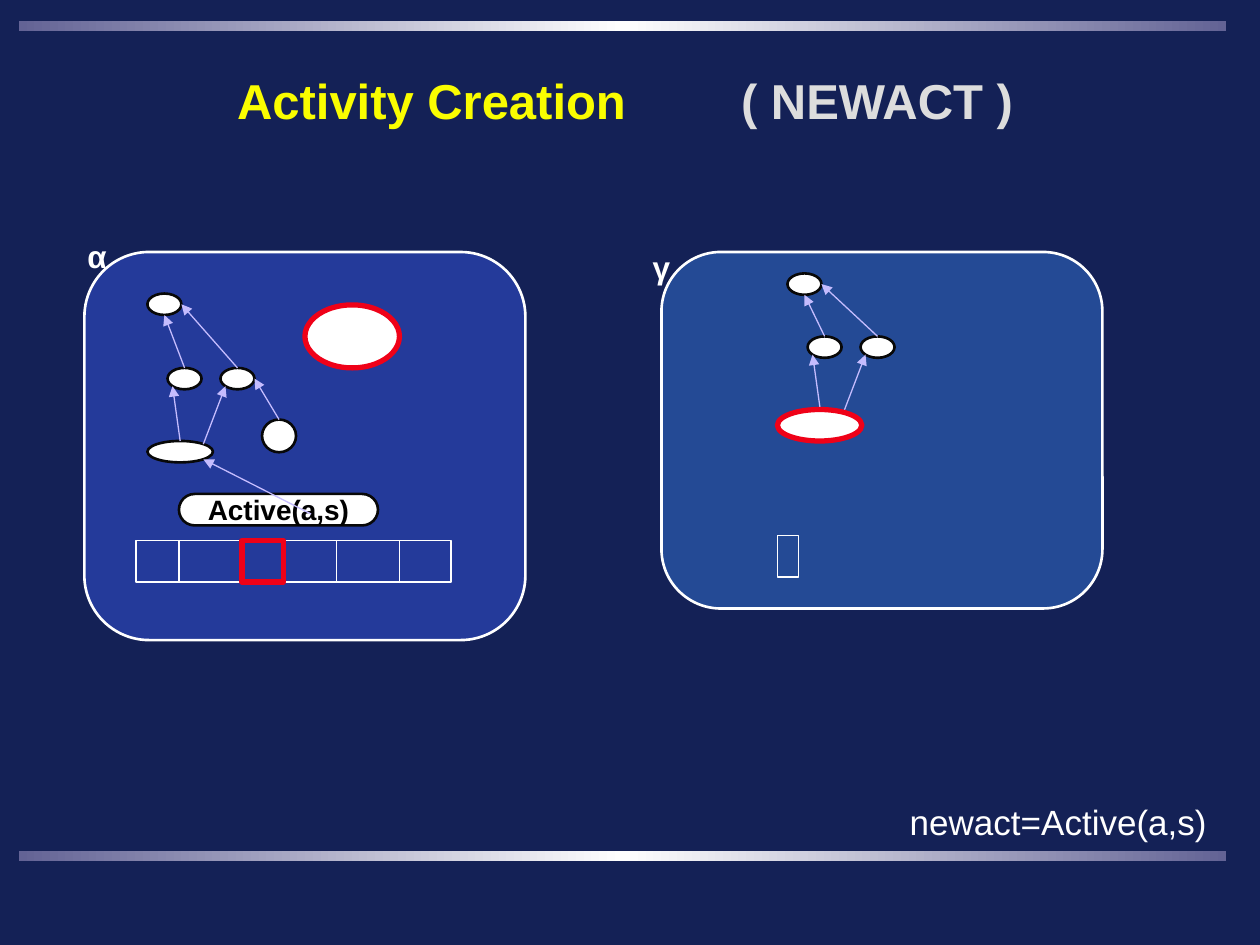
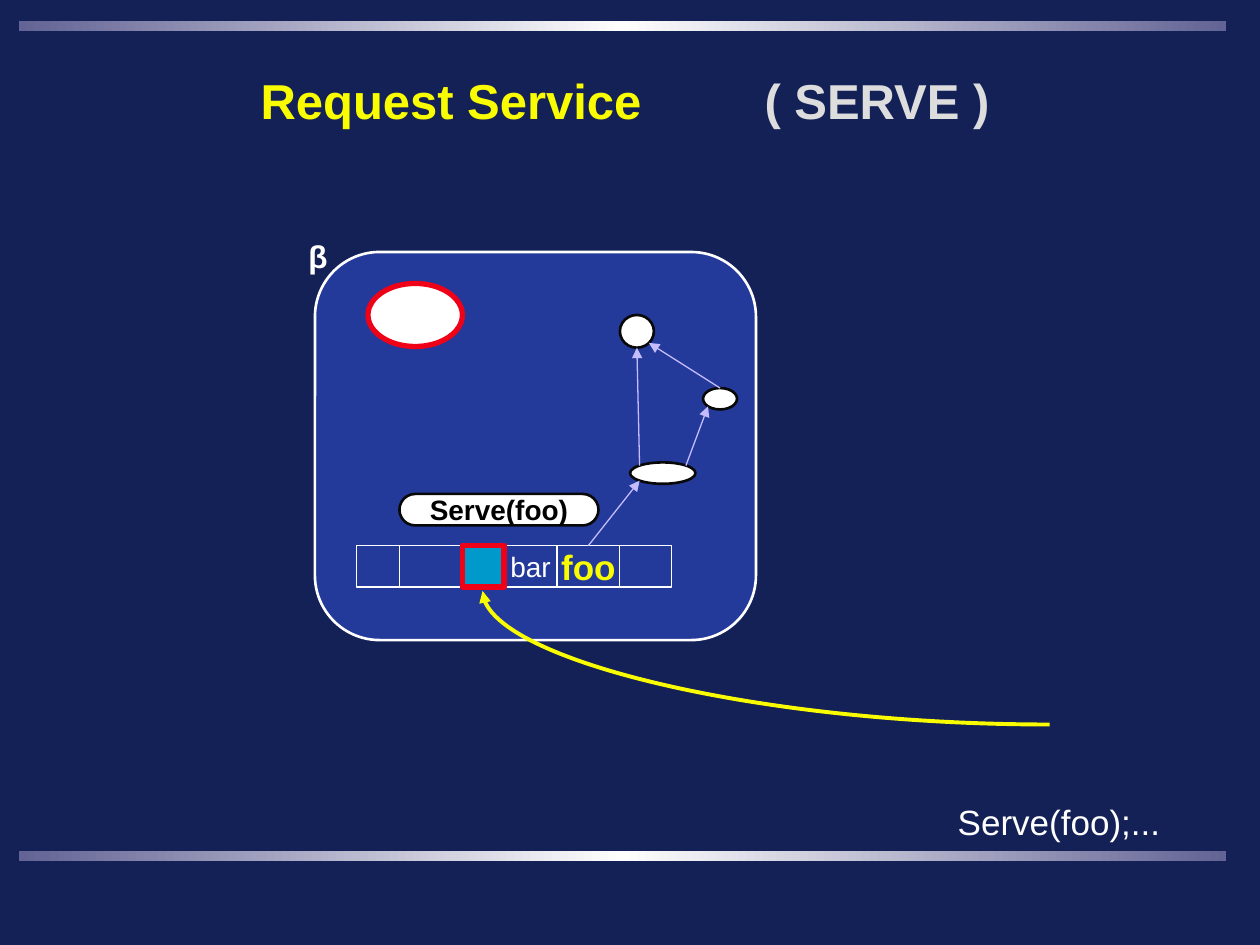
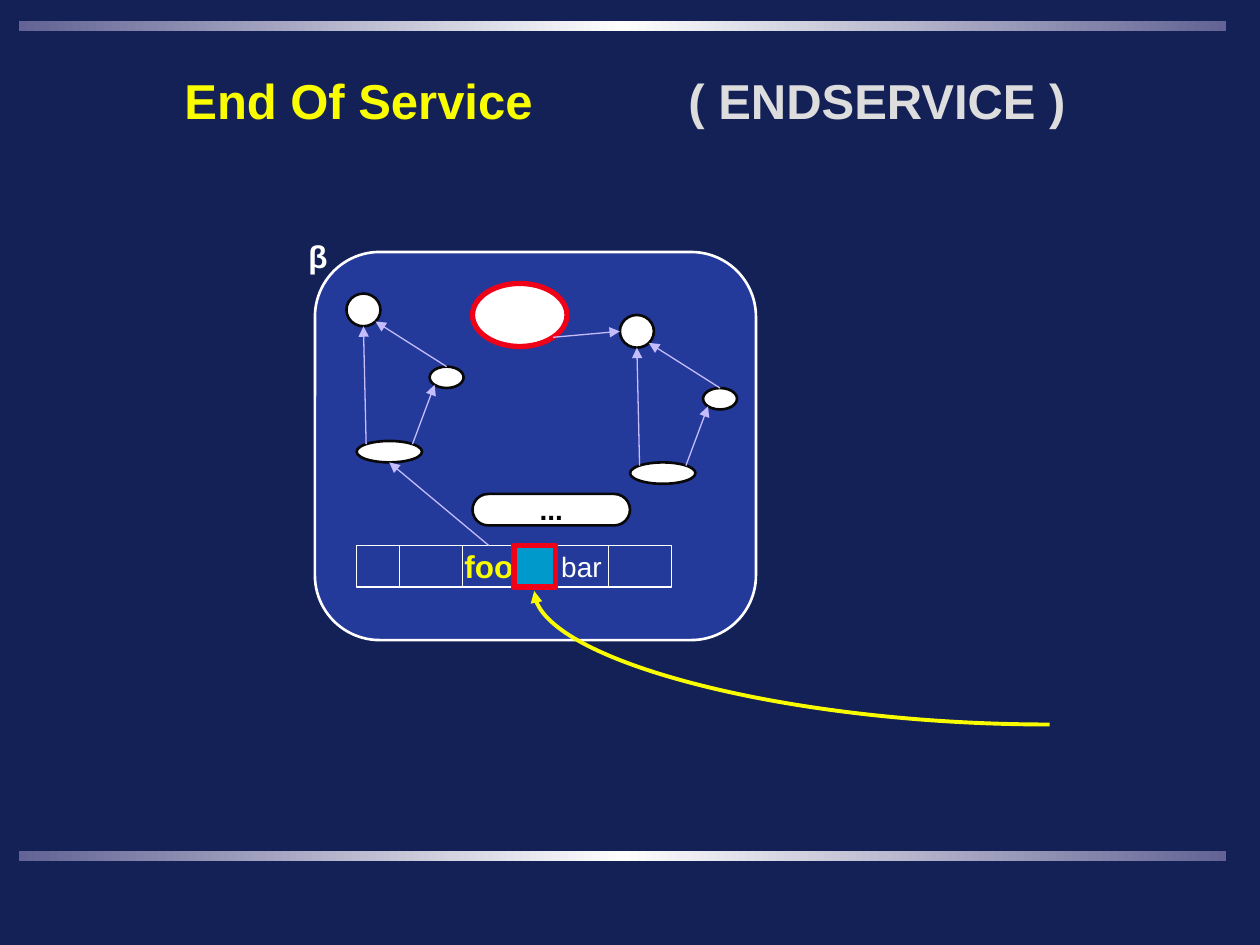
from copy import deepcopy
from dataclasses import dataclass
from math import cos, radians, sin

from lxml.etree import SubElement
from pptx import Presentation
from pptx.dml.color import RGBColor
from pptx.enum.shapes import MSO_CONNECTOR, MSO_SHAPE
from pptx.enum.text import MSO_ANCHOR, MSO_AUTO_SIZE, PP_ALIGN
from pptx.oxml.ns import qn
from pptx.util import Inches, Pt


@dataclass(frozen=True)
class Theme:
    font: str = "Arial"
    background: str = "142156"
    band_edge: str = "636395"
    band_center: str = "FEFEFE"
    activity: str = "243A9A"
    new_activity: str = "244A95"
    future: str = "0099CC"
    white: str = "FFFFFF"
    black: str = "000000"
    outline: str = "080808"
    active: str = "EF0118"
    reference: str = "C5BCFE"
    accent: str = "FAFD00"
    rule_name: str = "DDDDDD"
    title_size: float = 28
    code_size: float = 20
    label_size: float = 18
    cell_size: float = 16
    thin: float = 0.75
    medium: float = 1.5
    curve: float = 2.25
    thick: float = 3


THEME = Theme()
TITLE_BOX = (0.44, 0.33, 9.04, 0.92)
TAB_COUNT = 8
BAND_TOPS = (0.17, 6.75)

SMALL = (0.27, 0.17)
ROUND = (0.27, 0.26)
WIDE = (0.52, 0.17)
ACTIVE_OBJECT = (0.75, 0.5)
NEW_ACTIVE_OBJECT = (0.67, 0.25)
SITE_NAMES = ("right", "bottom_right", "bottom", "bottom_left",
              "left", "top_left", "top", "top_right")
SITE_ANGLES = {name: 45 * step for step, name in enumerate(SITE_NAMES)}

ACTIVITY_TOP = 2
ACTIVITY_WIDTH = 3.5
ACTIVITY_HEIGHT = 3.08
NEW_ACTIVITY_HEIGHT = 2.83
QUEUE_WIDTH = 2.5
CELL_HEIGHT = 0.33
CREATION_QUEUE_TOP = 4.29
SERVICE_QUEUE_TOP = 4.33
CURRENT_CELL_WIDTH = 0.33
INSTRUCTION_TOP = 3.92
INSTRUCTION_HEIGHT = 0.25
CODE_TOP = 6.3
CODE_HEIGHT = 0.44
UPDATE_SOURCE = (8.33, 5.75)
UPDATE_TARGET_TOP = 4.69


def color(value):
    return RGBColor.from_string(value)


def inches(*values):
    return [Inches(value) for value in values]


def format_run(run, size, text_color, bold=False):
    run.font.name = THEME.font
    run.font.size = Pt(size)
    run.font.bold = bold
    run.font.color.rgb = color(text_color)


def set_text(shape, text, size, text_color, bold=False):
    frame = shape.text_frame
    frame.text = text
    frame.word_wrap = False
    frame.vertical_anchor = MSO_ANCHOR.MIDDLE
    paragraph = frame.paragraphs[0]
    paragraph.alignment = PP_ALIGN.CENTER
    format_run(paragraph.runs[0], size, text_color, bold)


def add_box(slide, kind, box, fill, line, width):
    shape = slide.shapes.add_shape(kind, *inches(*box))
    shape.shadow.inherit = False
    shape.fill.solid()
    shape.fill.fore_color.rgb = color(fill)
    shape.line.color.rgb = color(line)
    shape.line.width = Pt(width)
    return shape


def add_label(slide, box, text, size, bold=False):
    label = slide.shapes.add_textbox(*inches(*box))
    set_text(label, text, size, THEME.white, bold)
    label.text_frame.auto_size = MSO_AUTO_SIZE.SHAPE_TO_FIT_TEXT


def add_line(slide, kind, start, end, line_color, width, arrow=False):
    connector = slide.shapes.add_connector(kind, *start, *end)
    connector.line.color.rgb = color(line_color)
    connector.line.width = Pt(width)
    properties = connector.element.spPr
    if arrow:
        SubElement(properties.find(qn("a:ln")), qn("a:tailEnd"), type="triangle")
    SubElement(properties, qn("a:effectLst"))
    return connector


def site(ellipse, name):
    angle = radians(SITE_ANGLES[name])
    return (
        int(ellipse.left + ellipse.width / 2 * (1 + cos(angle))),
        int(ellipse.top + ellipse.height / 2 * (1 + sin(angle))),
    )


def add_reference(slide, start, end):
    return add_line(slide, MSO_CONNECTOR.STRAIGHT, start, end,
                    THEME.reference, THEME.thin, arrow=True)


def link(slide, source, source_site, target, target_site):
    add_reference(slide, site(source, source_site), site(target, target_site))


def link_cell(slide, cell, target, target_site):
    cell_top = (cell.left + cell.width // 2, cell.top)
    reference = add_reference(slide, cell_top, site(target, target_site))
    reference.begin_connect(cell, 0)


def add_object(slide, left, top, size):
    return add_box(slide, MSO_SHAPE.OVAL, (left, top, *size),
                   THEME.white, THEME.outline, THEME.medium)


def add_active_object(slide, left, top, size=ACTIVE_OBJECT):
    return add_box(slide, MSO_SHAPE.OVAL, (left, top, *size),
                   THEME.white, THEME.active, THEME.thick)


def add_activity(slide, left, height, fill, name, name_box):
    add_box(slide, MSO_SHAPE.ROUNDED_RECTANGLE,
            (left, ACTIVITY_TOP, ACTIVITY_WIDTH, height),
            fill, THEME.white, THEME.medium)
    add_label(slide, name_box, name, THEME.label_size, bold=True)


def add_cell(slide, left, top, width, fill=THEME.activity):
    return add_box(slide, MSO_SHAPE.RECTANGLE, (left, top, width, CELL_HEIGHT),
                   fill, THEME.white, THEME.thin)


def add_current_cell(slide, left, top, fill):
    add_box(slide, MSO_SHAPE.RECTANGLE,
            (left, top, CURRENT_CELL_WIDTH, CELL_HEIGHT),
            fill, THEME.active, THEME.thick)


def add_queue(slide, left, top, dividers):
    add_cell(slide, left, top, QUEUE_WIDTH)
    for divider in dividers:
        add_line(slide, MSO_CONNECTOR.STRAIGHT, inches(divider, top),
                 inches(divider, top + CELL_HEIGHT), THEME.white, THEME.thin)


def add_waiting_request(slide, left, width):
    cell = add_cell(slide, left, SERVICE_QUEUE_TOP, width)
    set_text(cell, "bar", THEME.cell_size, THEME.white)


def add_served_request(slide, left, width, size):
    cell = add_cell(slide, left, SERVICE_QUEUE_TOP, width)
    set_text(cell, "foo", size, THEME.accent, bold=True)
    return cell


def add_instruction(slide, left, width, text):
    pill = add_box(slide, MSO_SHAPE.ROUNDED_RECTANGLE,
                   (left, INSTRUCTION_TOP, width, INSTRUCTION_HEIGHT),
                   THEME.white, THEME.outline, THEME.medium)
    pill.adjustments[0] = 0.5
    set_text(pill, text, THEME.cell_size, THEME.black, bold=True)


def add_code(slide, left, width, text):
    add_label(slide, (left, CODE_TOP, width, CODE_HEIGHT), text, THEME.code_size)


def add_future_update(slide, target_left):
    curve = add_line(slide, MSO_CONNECTOR.CURVE,
                     inches(target_left, UPDATE_TARGET_TOP),
                     inches(*UPDATE_SOURCE),
                     THEME.accent, THEME.curve, arrow=True)
    properties = curve.element.spPr
    properties.find(qn("a:xfrm")).set("rot", "10800000")
    properties.find(qn("a:prstGeom")).set("prst", "curvedConnector2")


def add_copied_graph(slide, left, top, rise):
    root = add_object(slide, left, top, WIDE)
    first = add_object(slide, left + 0.16, top - 0.58, SMALL)
    second = add_object(slide, left + 0.58, top - 0.58, SMALL)
    summit = add_object(slide, left, top - rise, SMALL)
    for reference in (
        (root, "top", first, "bottom_left"),
        (root, "top_right", second, "bottom_left"),
        (first, "top", summit, "bottom"),
        (second, "top", summit, "right"),
    ):
        link(slide, *reference)
    return root, second


def add_request_graph(slide, left, top):
    summit = add_object(slide, left, top, ROUND)
    middle = add_object(slide, left + 0.66, top + 0.58, SMALL)
    root = add_object(slide, left + 0.08, top + 1.17, WIDE)
    for reference in (
        (middle, "top", summit, "bottom_right"),
        (root, "top_right", middle, "bottom_left"),
        (root, "top_left", summit, "bottom"),
    ):
        link(slide, *reference)
    return root, summit


def add_master_band(slide, master, top):
    band = add_box(slide, MSO_SHAPE.RECTANGLE, (0.15, top, 9.58, 0.08),
                   THEME.band_edge, THEME.band_edge, THEME.thin)
    band.line.fill.background()
    band.fill.gradient()
    band.fill.gradient_angle = 0
    stop_list = band.element.spPr.find(qn("a:gradFill")).find(qn("a:gsLst"))
    stop_list.append(deepcopy(stop_list[-1]))
    stop_colors = (THEME.band_edge, THEME.band_center, THEME.band_edge)
    for index, stop in enumerate(band.fill.gradient_stops):
        stop.position = index / 2
        stop.color.rgb = color(stop_colors[index])
    master.shapes.element.append(band.element)


def style_master(presentation, slide):
    master = presentation.slide_master
    master.background.fill.solid()
    master.background.fill.fore_color.rgb = color(THEME.background)
    for top in BAND_TOPS:
        add_master_band(slide, master, top)


def add_tab_stops(shape):
    paragraph_properties = shape.element.find(".//" + qn("a:pPr"))
    tab_list = SubElement(paragraph_properties, qn("a:tabLst"))
    for position in range(TAB_COUNT):
        SubElement(tab_list, qn("a:tab"), pos=str(Inches(position)), algn="l")


def add_slide(presentation, topic, rule_name):
    slide = presentation.slides.add_slide(presentation.slide_layouts[5])
    title = slide.shapes.title
    title.left, title.top, title.width, title.height = inches(*TITLE_BOX)
    frame = title.text_frame
    frame.auto_size = MSO_AUTO_SIZE.NONE
    frame.word_wrap = True
    frame.vertical_anchor = MSO_ANCHOR.MIDDLE
    paragraph = frame.paragraphs[0]
    paragraph.alignment = PP_ALIGN.CENTER
    add_tab_stops(title)
    for text, text_color in ((topic, THEME.accent),
                             (f"( {rule_name} )", THEME.rule_name)):
        run = paragraph.add_run()
        run.text = text
        format_run(run, THEME.title_size, text_color, bold=True)
    return slide


def add_service_activity(slide):
    add_activity(slide, 2.5, ACTIVITY_HEIGHT, THEME.activity,
                 "β", (2.35, 1.83, 0.34, 0.4))
    add_queue(slide, 2.83, SERVICE_QUEUE_TOP, [3.17])
    return add_request_graph(slide, 4.92, 2.5)


def add_creating_activity(slide):
    add_activity(slide, 0.67, ACTIVITY_HEIGHT, THEME.activity,
                 "α", (0.59, 1.83, 0.36, 0.4))
    add_queue(slide, 1.08, CREATION_QUEUE_TOP, [1.42, 2.67, 3.17])
    add_current_cell(slide, 1.92, CREATION_QUEUE_TOP, THEME.activity)
    add_active_object(slide, 2.42, 2.42)
    root, second = add_copied_graph(slide, 1.17, 3.5, 1.17)
    extra = add_object(slide, 2.08, 3.33, ROUND)
    link(slide, extra, "top", second, "right")
    add_instruction(slide, 1.42, 1.58, "Active(a,s)")
    add_reference(slide, inches(2.47, 4.08), site(root, "bottom_right"))


def add_created_activity(slide):
    add_activity(slide, 5.25, NEW_ACTIVITY_HEIGHT, THEME.new_activity,
                 "γ", (5.08, 1.92, 0.34, 0.4))
    add_cell(slide, 6.17, 4.25, 0.17, THEME.new_activity)
    add_copied_graph(slide, 6.25, 3.25, 1.08)
    add_active_object(slide, 6.17, 3.25, NEW_ACTIVE_OBJECT)


def build_activity_creation(slide):
    add_creating_activity(slide)
    add_created_activity(slide)
    add_code(slide, 7.12, 2.56, "newact=Active(a,s)")


def build_request_service(slide):
    root, _ = add_service_activity(slide)
    add_active_object(slide, 2.92, 2.25)
    add_instruction(slide, 3.17, 1.58, "Serve(foo)")
    add_waiting_request(slide, 4, 0.42)
    request = add_served_request(slide, 4.42, 0.5, THEME.code_size)
    link_cell(slide, request, root, "bottom_left")
    add_current_cell(slide, 3.67, SERVICE_QUEUE_TOP, THEME.future)
    add_future_update(slide, 3.83)
    add_code(slide, 7.5, 1.81, "Serve(foo);...")


def build_end_of_service(slide):
    _, result = add_service_activity(slide)
    active_object = add_active_object(slide, 3.75, 2.25)
    link(slide, active_object, "bottom_right", result, "left")
    add_waiting_request(slide, 4.4, 0.43)
    request = add_served_request(slide, 3.67, 0.42, THEME.label_size)
    root, _ = add_request_graph(slide, 2.75, 2.33)
    link_cell(slide, request, root, "bottom")
    add_instruction(slide, 3.75, 1.25, "...")
    add_current_cell(slide, 4.08, SERVICE_QUEUE_TOP, THEME.future)
    add_future_update(slide, 4.24)


def main():
    presentation = Presentation()
    presentation.slide_width, presentation.slide_height = inches(10, 7.5)
    creation = add_slide(presentation, "Activity Creation\t", "NEWACT")
    service = add_slide(presentation, "Request Service\t", "SERVE")
    end = add_slide(presentation, "End Of Service\t\t", "ENDSERVICE")
    style_master(presentation, creation)
    build_activity_creation(creation)
    build_request_service(service)
    build_end_of_service(end)
    presentation.save("out.pptx")


if __name__ == "__main__":
    main()
